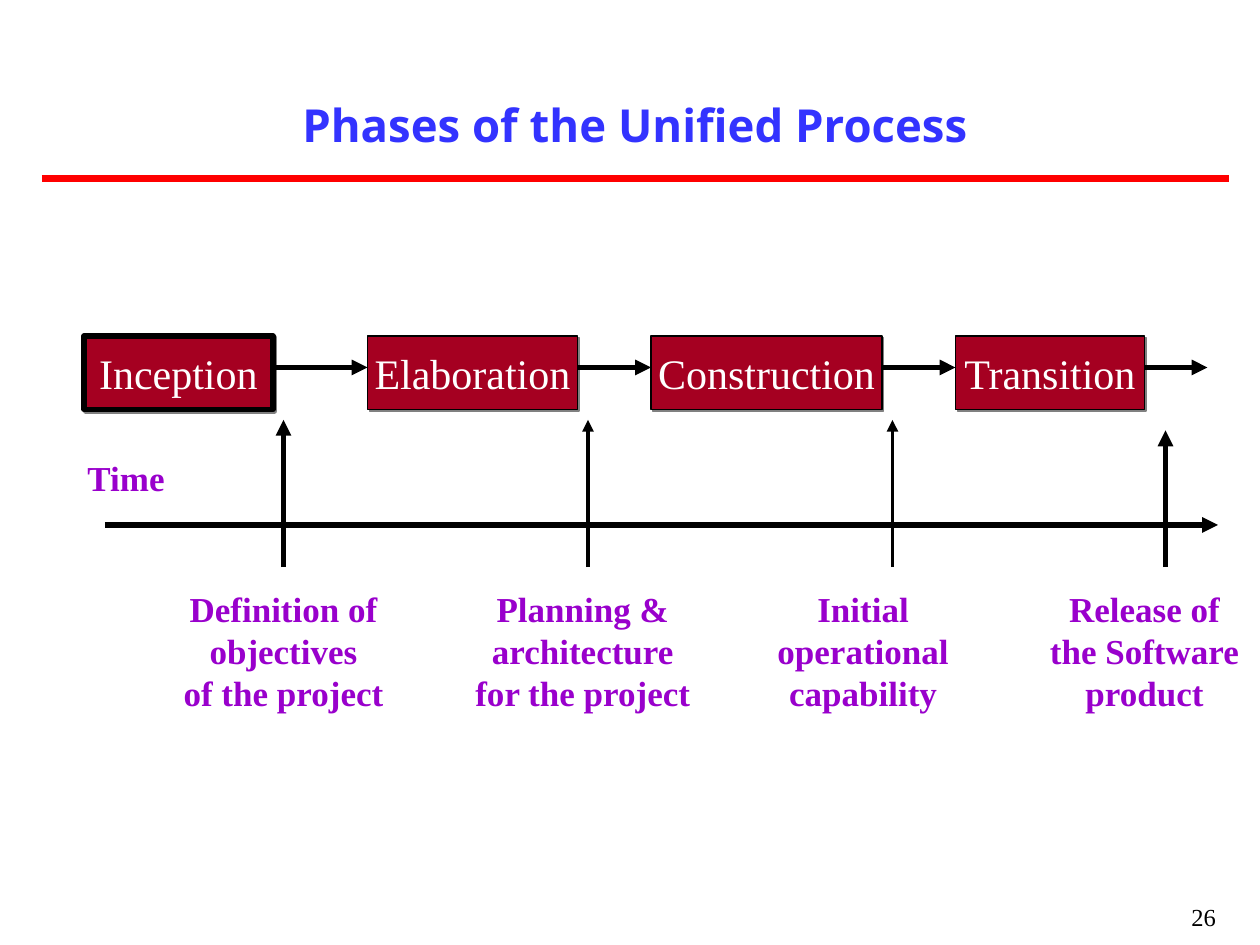
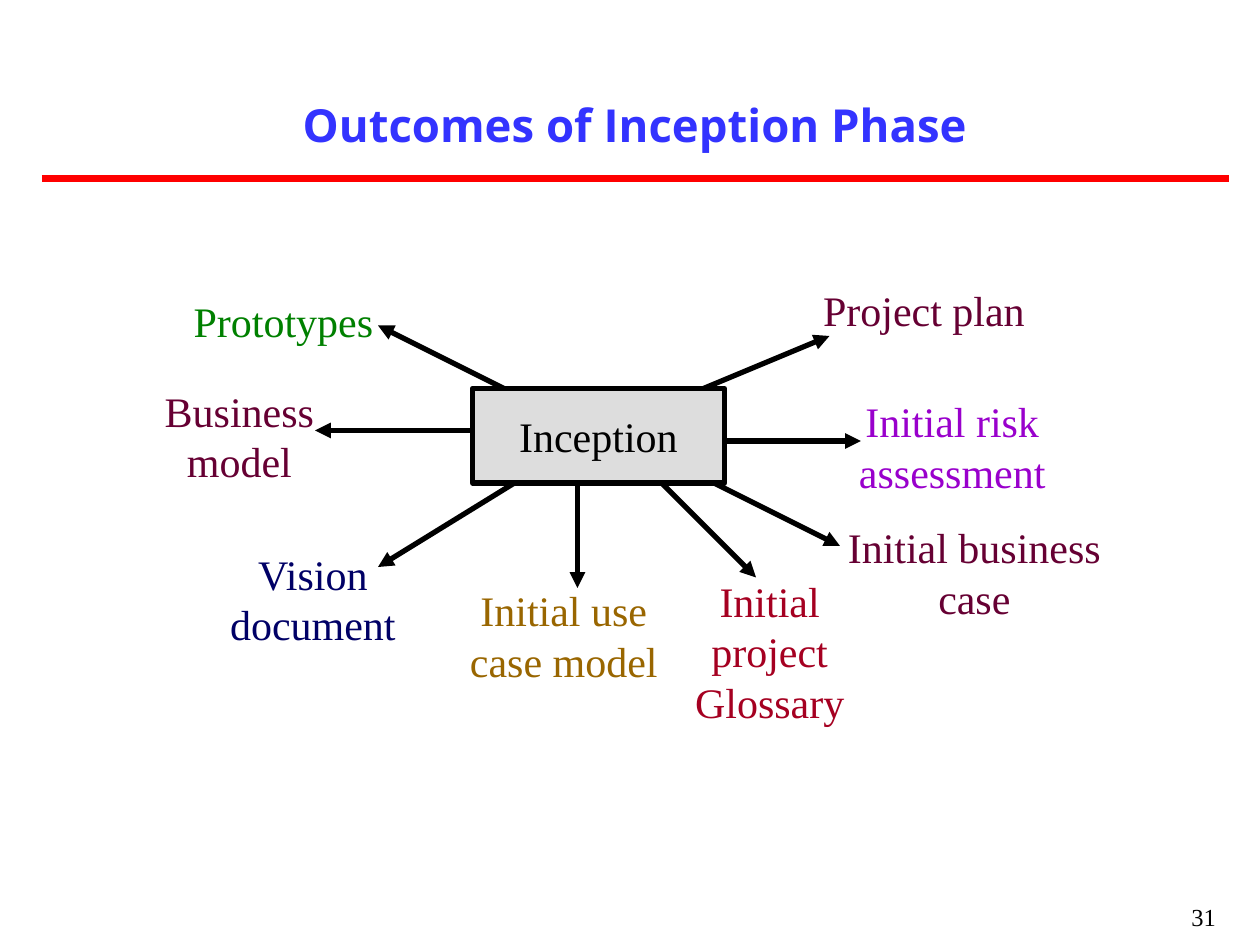
import pptx
import pptx.dml.color
import pptx.enum.shapes
import pptx.enum.text
import pptx.oxml
import pptx.oxml.ns
import pptx.util
from lxml import etree

PX = 7620
SERIF = "Times New Roman"
BLACK, WHITE, RED, BLUE = "000000", "FFFFFF", "FF0000", "3333FF"
CRIMSON, PURPLE, PLUM, GREY = "A50021", "9900CC", "660033", "DDDDDD"
NAVY, OCHRE, GREEN, SHADOW = "000066", "996600", "008000", "808080"
ALIGN = pptx.enum.text.PP_ALIGN
ANCHOR = pptx.enum.text.MSO_ANCHOR


def px(*lengths):
    return [pptx.util.Emu(n * PX) for n in lengths]


def rgb(color):
    return pptx.dml.color.RGBColor.from_string(color)


def put_text(tf, text, size=24, color=BLACK, font=SERIF, bold=False,
             align=ALIGN.CENTER, anchor=ANCHOR.MIDDLE, wrap=True, inset=0):
    tf.word_wrap = wrap
    tf.auto_size = pptx.enum.text.MSO_AUTO_SIZE.NONE
    tf.vertical_anchor = anchor
    tf.margin_left = tf.margin_right = px(inset)[0]
    tf.margin_top = tf.margin_bottom = px(inset // 2)[0]
    for i, line in enumerate(text.split("\n")):
        p = tf.add_paragraph() if i else tf.paragraphs[0]
        p.alignment = align
        r = p.add_run()
        r.text = line
        r.font.name = font
        r.font.size = pptx.util.Pt(size)
        r.font.bold = bold
        r.font.color.rgb = rgb(color)


class Deck:
    def __init__(self):
        self.prs = pptx.Presentation()
        self.prs.slide_width, self.prs.slide_height = px(1200, 900)
        self.s = None

    def slide(self, title, number):
        self.s = self.prs.slides.add_slide(self.prs.slide_layouts[5])
        sp = self.s.shapes.title
        sp.left, sp.top, sp.width, sp.height = px(40, 86, 1130, 65)
        put_text(sp.text_frame, title, size=26, color=BLUE, font="Open Sans", bold=True)
        self.line(40, 170, 1170, 170, color=RED, width=4.5)
        self.text(920, 853, 250, 45, number, size=14, align=ALIGN.RIGHT,
                  anchor=ANCHOR.TOP, inset=12)

    def text(self, x, y, w, h, text, **fmt):
        sp = self.s.shapes.add_textbox(*px(x, y, w, h))
        put_text(sp.text_frame, text, **fmt)

    def label(self, cx, cy, w, text, size=24, **fmt):
        h = 2 * size * (text.count("\n") + 1)
        self.text(cx - w // 2, cy - h // 2, w, h, text, size=size, **fmt)

    def box(self, x, y, w, h, text, fill, color, width=3, shadow=False):
        rect = pptx.enum.shapes.MSO_SHAPE.RECTANGLE
        sp = self.s.shapes.add_shape(rect, *px(x, y, w, h))
        sp.shadow.inherit = False
        sp.fill.solid()
        sp.fill.fore_color.rgb = rgb(fill)
        sp.line.color.rgb = rgb(BLACK)
        sp.line.width = pptx.util.Pt(width)
        if shadow:
            effects = sp._element.spPr.find(pptx.oxml.ns.qn("a:effectLst"))
            outer = etree.SubElement(effects, pptx.oxml.ns.qn("a:outerShdw"),
                                     dist="17780", dir="2700000", algn="ctr")
            etree.SubElement(outer, pptx.oxml.ns.qn("a:srgbClr"), val=SHADOW)
        put_text(sp.text_frame, text, color=color, wrap=False)

    def line(self, x1, y1, x2, y2, color=BLACK, width=3, arrow=False):
        straight = pptx.enum.shapes.MSO_CONNECTOR.STRAIGHT
        c = self.s.shapes.add_connector(straight, *px(x1, y1, x2, y2))
        c.line.color.rgb = rgb(color)
        c.line.width = pptx.util.Pt(width)
        if arrow:
            ln = c.line._get_or_add_ln()
            etree.SubElement(ln, pptx.oxml.ns.qn("a:tailEnd"), type="triangle")
        etree.SubElement(c._element.spPr, pptx.oxml.ns.qn("a:effectLst"))

    def arrow(self, x1, y1, x2, y2, width=3):
        self.line(x1, y1, x2, y2, width=width, arrow=True)


def build_phases(deck):
    deck.slide("Phases of the Unified Process", "26")

    phases = [("Inception", 80, 180, 3), ("Elaboration", 350, 200, 0.75),
              ("Construction", 620, 220, 0.75), ("Transition", 910, 180, 0.75)]
    arrow_ends = [x for _, x, _, _ in phases[1:]] + [1150]
    for (name, x, w, border), end in zip(phases, arrow_ends):
        deck.box(x, 320, w, 70, name, CRIMSON, WHITE, width=border, shadow=True)
        deck.arrow(x + w, 350, end, 350)

    deck.label(120, 455, 140, "Time", size=20, color=PURPLE, bold=True)
    deck.arrow(100, 500, 1160, 500)

    milestones = [(270, 400, 3, 270, "Definition of\nobjectives\nof the project"),
                  (560, 400, 2.25, 555, "Planning &\narchitecture\nfor the project"),
                  (850, 400, 2.25, 822, "Initial\noperational\ncapability"),
                  (1110, 410, 3, 1090, "Release of\nthe Software\nproduct")]
    for x, tip, width, cx, goal in milestones:
        deck.arrow(x, 540, x, tip, width=width)
        deck.label(cx, 620, 220, goal, size=20, color=PURPLE, bold=True)


def build_outcomes(deck):
    deck.slide("Outcomes of Inception Phase", "31")

    outcomes = [("Prototypes", GREEN, 270, 305, 180, (480, 370, 360, 310)),
                ("Business\nmodel", PLUM, 228, 415, 150, (450, 410, 300, 410)),
                ("Vision\ndocument", NAVY, 298, 570, 170, (490, 460, 360, 540)),
                ("Initial use\ncase model", OCHRE, 537, 605, 190, (550, 460, 550, 560)),
                ("Initial\nproject\nGlossary", CRIMSON, 733, 620, 150, (630, 460, 720, 550)),
                ("Initial business\ncase", PLUM, 928, 545, 260, (680, 460, 800, 520)),
                ("Initial risk\nassessment", PURPLE, 907, 425, 190, (690, 420, 820, 420)),
                ("Project plan", PLUM, 880, 295, 200, (670, 370, 790, 320))]
    for name, color, cx, cy, w, ends in outcomes:
        deck.arrow(*ends)
        deck.label(cx, cy, w, name, color=color)
    deck.box(450, 370, 240, 90, "Inception", GREY, BLACK)


def main():
    deck = Deck()
    build_phases(deck)
    build_outcomes(deck)
    deck.prs.save("out.pptx")


if __name__ == "__main__":
    main()
